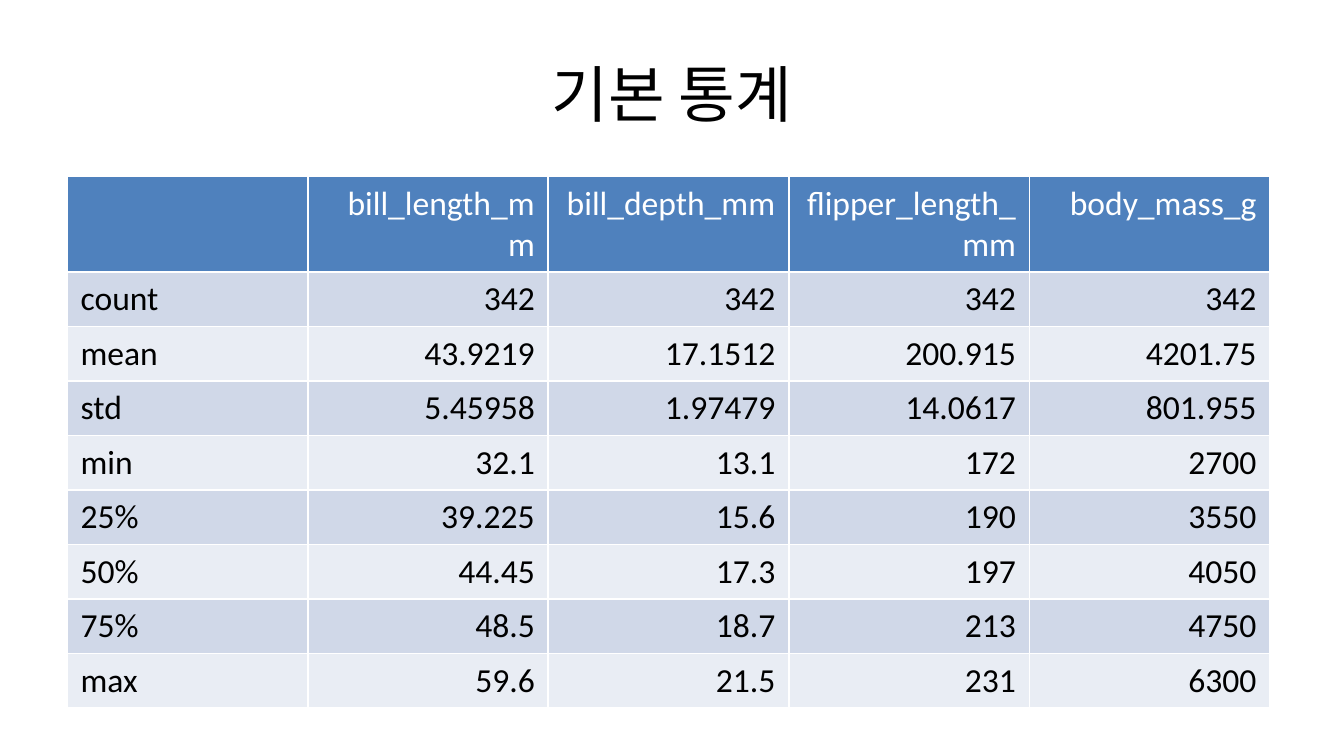
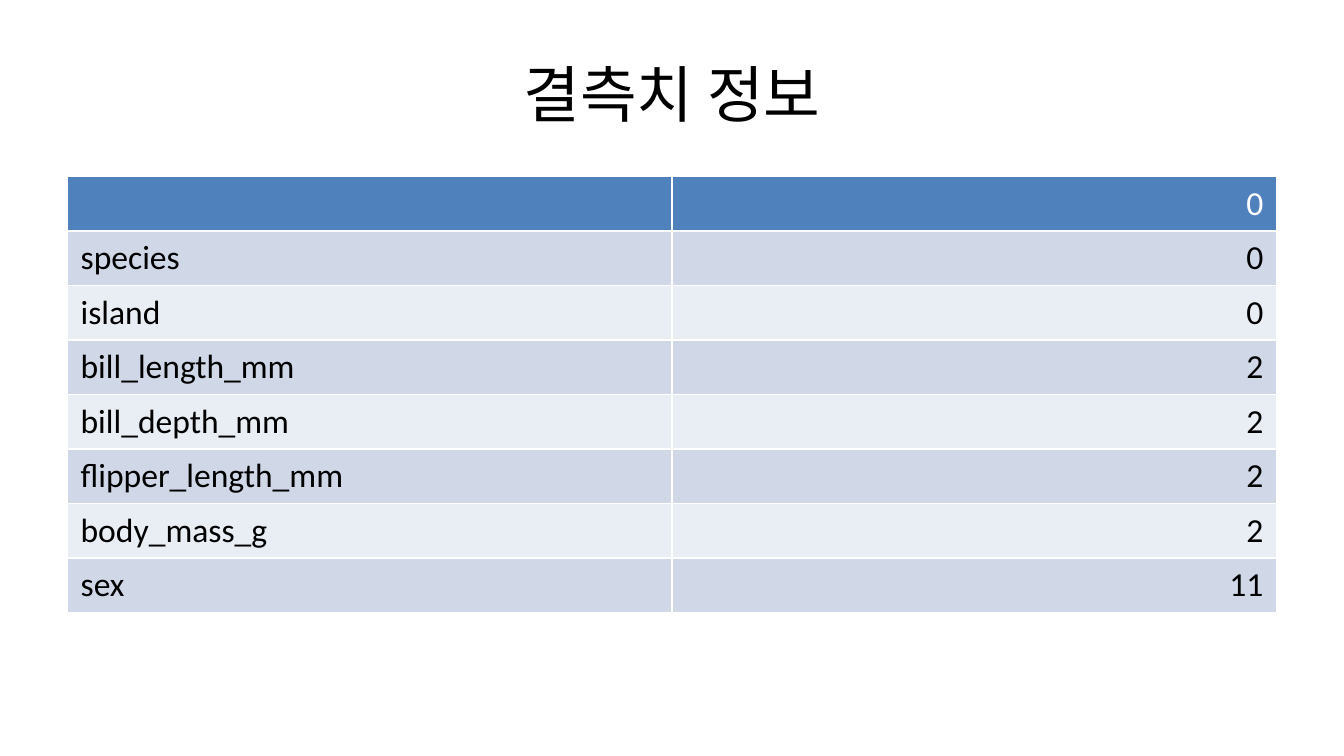
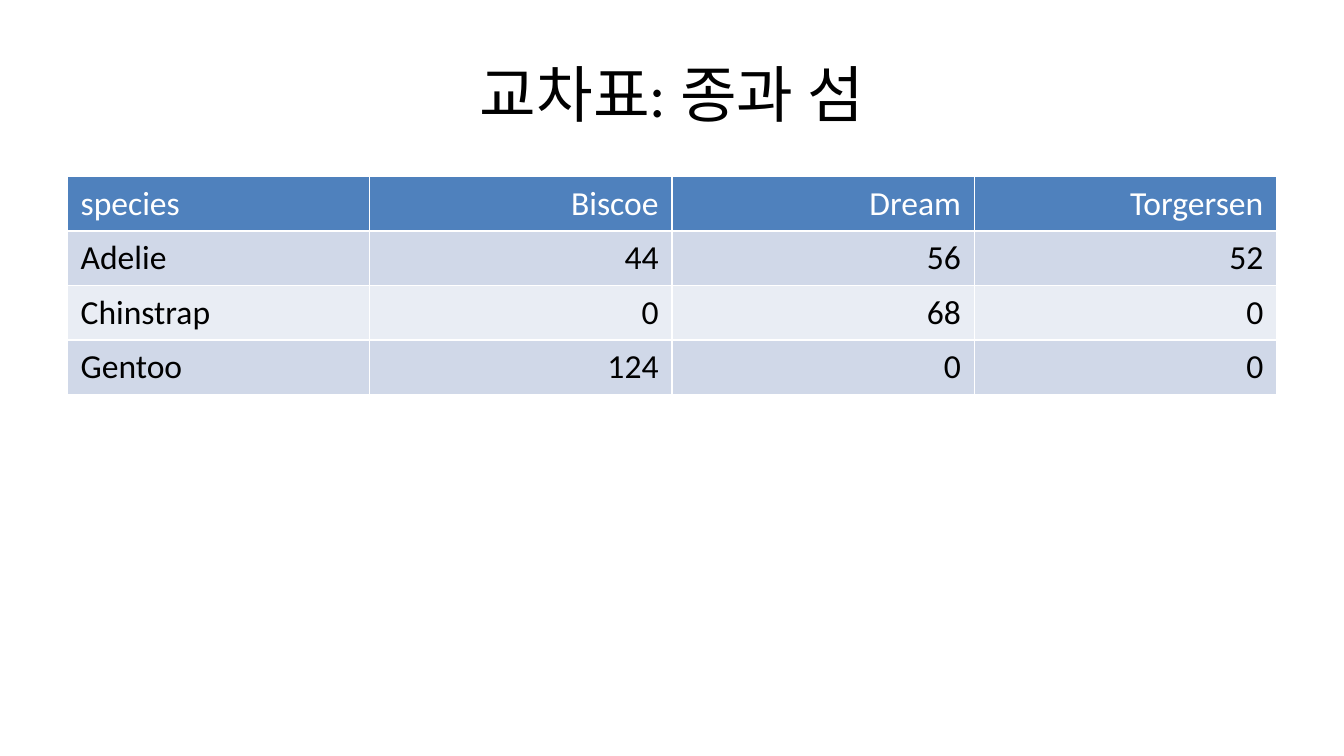
from pptx import Presentation
from pptx.dml.color import RGBColor
from pptx.enum.text import MSO_ANCHOR, PP_ALIGN
from pptx.util import Inches, Pt

# Content: title, column width, rows (the first one is the header)
SLIDES = [
    ("기본 통계", 1.79, [
        ("", "bill_length_mm", "bill_depth_mm", "flipper_length_mm", "body_mass_g"),
        ("count", "342", "342", "342", "342"),
        ("mean", "43.9219", "17.1512", "200.915", "4201.75"),
        ("std", "5.45958", "1.97479", "14.0617", "801.955"),
        ("min", "32.1", "13.1", "172", "2700"),
        ("25%", "39.225", "15.6", "190", "3550"),
        ("50%", "44.45", "17.3", "197", "4050"),
        ("75%", "48.5", "18.7", "213", "4750"),
        ("max", "59.6", "21.5", "231", "6300"),
    ]),
    ("결측치 정보", 4.5, [
        ("", "0"),
        ("species", "0"),
        ("island", "0"),
        ("bill_length_mm", "2"),
        ("bill_depth_mm", "2"),
        ("flipper_length_mm", "2"),
        ("body_mass_g", "2"),
        ("sex", "11"),
    ]),
    ("교차표: 종과 섬", 2.25, [
        ("species", "Biscoe", "Dream", "Torgersen"),
        ("Adelie", "44", "56", "52"),
        ("Chinstrap", "0", "68", "0"),
        ("Gentoo", "124", "0", "0"),
    ]),
]

# Shared look: a 16:9 page, parts placed as shares of it
COLORS = {"head": "4F81BD", "odd": "D0D8E8", "even": "E9EDF4",
          "ink": "000000", "white": "FFFFFF"}
FONT = "Calibri"
WIDTH = Inches(10)
HEIGHT = WIDTH * 9 // 16
LEFT, SPAN = WIDTH // 20, WIDTH * 9 // 10
TITLE_TOP, TITLE_HIGH = HEIGHT // 25, HEIGHT // 6
TABLE_TOP, TABLE_HIGH = HEIGHT * 7 // 30, HEIGHT * 33 // 50


def color(name):
    return RGBColor.from_string(COLORS[name])


def style(frame, size, ink, align):
    for para in frame.paragraphs:
        para.alignment = align
        for run in para.runs:
            font = run.font
            font.name, font.size, font.bold = FONT, Pt(size), False
            font.color.rgb = color(ink)


def add_title(slide, text):
    title = slide.shapes.title
    title.left, title.top = LEFT, TITLE_TOP
    title.width, title.height = SPAN, TITLE_HIGH
    frame = title.text_frame
    frame.text = text
    frame.vertical_anchor = MSO_ANCHOR.MIDDLE
    style(frame, 33, "ink", PP_ALIGN.CENTER)


def add_grid(slide, rows, wide):
    shape = slide.shapes.add_table(len(rows), len(rows[0]), LEFT, TABLE_TOP,
                                   SPAN, TABLE_HIGH)
    table = shape.table
    for col in table.columns:
        col.width = Inches(wide)
    for r, row in enumerate(rows):
        table.rows[r].height = 0  # each row grows to fit its text
        fill = "head" if r == 0 else "odd" if r % 2 else "even"
        for c, text in enumerate(row):
            cell = table.cell(r, c)
            cell.text_frame.text = text
            cell.fill.solid()
            cell.fill.fore_color.rgb = color(fill)
            style(cell.text_frame, 18, "ink" if r else "white",
                  PP_ALIGN.RIGHT if c else PP_ALIGN.LEFT)
    shape.width, shape.height = SPAN, TABLE_HIGH


def main():
    deck = Presentation()
    deck.slide_width, deck.slide_height = WIDTH, HEIGHT
    for title, wide, rows in SLIDES:
        slide = deck.slides.add_slide(deck.slide_layouts[5])
        add_title(slide, title)
        add_grid(slide, rows, wide)
    deck.save("out.pptx")


if __name__ == "__main__":
    main()
